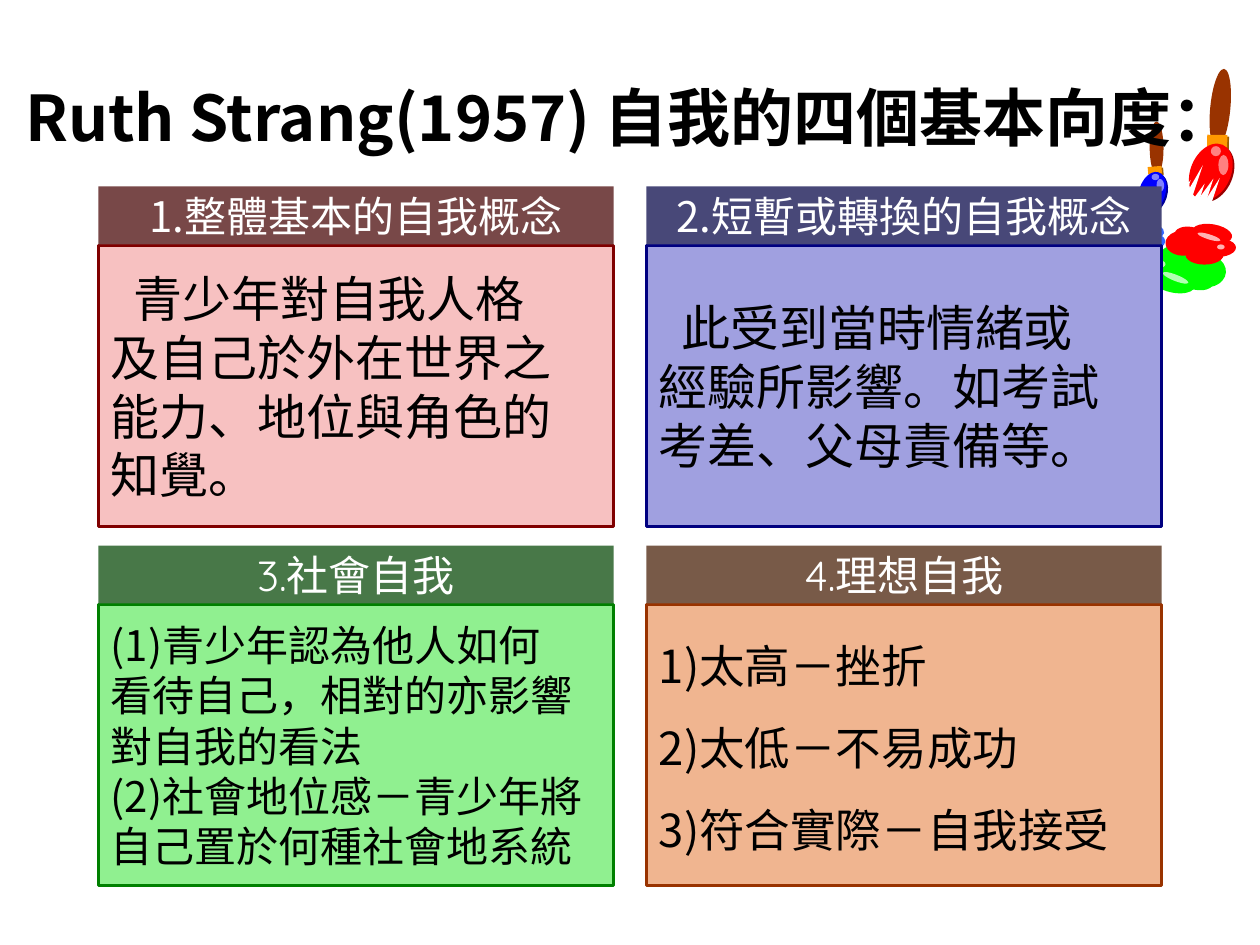
import pptx
import pptx.util
import pptx.dml.color
import pptx.enum.shapes
import pptx.enum.text
import pptx.oxml
import pptx.oxml.ns
import lxml.etree

Inches, Pt = pptx.util.Inches, pptx.util.Pt
KINDS = pptx.enum.shapes.MSO_SHAPE
ALIGN = pptx.enum.text.PP_ALIGN
ANCHOR = pptx.enum.text.MSO_ANCHOR
color = pptx.dml.color.RGBColor.from_string
tag = pptx.oxml.ns.qn
CJK = "Noto Sans CJK SC"


def add_shape(parent, kind, place, fill, turn=0, opacity=100, shadow=None):
    """Add a filled shape without outline; opacity is in percent."""
    shape = parent.shapes.add_shape(kind, *[Inches(length) for length in place])
    shape.rotation = turn
    shape.shadow.inherit = False
    shape.line.fill.background()
    shape.fill.solid()
    shape.fill.fore_color.rgb = color(fill)
    if opacity < 100:
        tint = shape._element.spPr.find(".//" + tag("a:srgbClr"))
        lxml.etree.SubElement(tint, tag("a:alpha"), val=str(opacity * 1000))
    if shadow:
        effects = shape._element.spPr.find(tag("a:effectLst"))
        outer = lxml.etree.SubElement(effects, tag("a:outerShdw"), dist=str(Pt(1.4)), dir="2700000")
        lxml.etree.SubElement(outer, tag("a:srgbClr"), val=shadow)
    return shape


def write(box, lines, size, font=CJK, ink="000000", bold=False, align=ALIGN.LEFT,
          anchor=ANCHOR.MIDDLE, spacing=None):
    frame = box.text_frame
    frame.text = "\n".join(lines)
    frame.vertical_anchor = anchor
    for para in frame.paragraphs:
        para.alignment = align
        if spacing:
            para.line_spacing = spacing
        for span in para.runs:
            span.font.size = Pt(size)
            span.font.name = font
            span.font.bold = bold
            span.font.color.rgb = color(ink)
            lxml.etree.SubElement(span._r.get_or_add_rPr(), tag("a:ea"), typeface=CJK)


deck = pptx.Presentation()
deck.slide_width, deck.slide_height = Inches(10), Inches(7.5)
page = deck.slides.add_slide(deck.slide_layouts[6])

# Brushes: handle, ferrule, bristles, gaps between bristles, highlights
brushes = [
    dict(handle=((9.37, 0.78, 0.63, 0.16), 275.5), ferrule=((9.58, 1.07, 0.16, 0.1), 180.8),
         bristles=((9.45, 1.13, 0.32, 0.47), 23.4), paint="FF0000", shade="990000",
         gaps=[((9.34, 1.41, 0.08, 0.24), 19.5, 0.91), ((9.59, 1.41, 0.08, 0.31), 32.9, 0),
               ((9.41, 1.29, 0.08, 0.39), 19.5, 0.91), ((9.52, 1.4, 0.08, 0.24), 19.5, 0.91),
               ((9.45, 1.44, 0.08, 0.24), 19.5, 0.91)],
         lights=[((9.67, 1.23, 0.08, 0.16), 1.3), ((9.61, 1.16, 0.08, 0.08), 1.3)]),
    dict(handle=((8.97, 1.12, 0.42, 0.11), 269.7), ferrule=((9.11, 1.32, 0.11, 0.06), 175),
         bristles=((9.04, 1.36, 0.21, 0.33), 17.6), paint="0000FF", shade="000099",
         gaps=[((9.15, 1.55, 0.05, 0.22), 27.1, 0), ((9.02, 1.48, 0.05, 0.28), 13.7, 0.91)],
         lights=[((9.18, 1.42, 0.06, 0.1), 355.5), ((9.14, 1.38, 0.06, 0.05), 355.5)]),
]
for brush in brushes:
    group = page.shapes.add_group_shape()
    place, turn = brush["handle"]
    add_shape(group, KINDS.OVAL, place, "993300", turn)
    place, turn = brush["ferrule"]
    add_shape(group, KINDS.RECTANGLE, place, "FF9900", turn, shadow="995C00")
    place, turn = brush["bristles"]
    add_shape(group, KINDS.OVAL, place, brush["paint"], turn, shadow=brush["shade"])
    for place, turn, tip in brush["gaps"]:
        gap = add_shape(group, KINDS.ISOSCELES_TRIANGLE, place, "FFFFFF", turn)
        gap.adjustments[0] = tip
    for place, turn in brush["lights"]:
        add_shape(group, KINDS.OVAL, place, "FFFFFF", turn, opacity=50)

# Paint blots: colour, drops, highlights
blots = [
    ("00FF00",
     [((9.41, 2.02, 0.32, 0.26), 184), ((9.21, 1.94, 0.34, 0.18), 184),
      ((9.1, 2.01, 0.34, 0.18), 184), ((9.12, 2.14, 0.37, 0.18), 193.7),
      ((9.35, 2.12, 0.29, 0.18), 193.7)],
     [((9.19, 2.07, 0.06, 0.05), 184), ((9.22, 2.18, 0.22, 0.05), 201.5)]),
    ("3366FF",
     [((8.94, 1.82, 0.16, 0.15), 0), ((9.03, 1.91, 0.17, 0.11), 0),
      ((9.08, 1.86, 0.17, 0.11), 0), ((9.06, 1.78, 0.18, 0.11), 9.6),
      ((8.98, 1.8, 0.14, 0.11), 9.6)],
     [((9.17, 1.9, 0.03, 0.03), 0)]),
    ("FF0000",
     [((9.25, 1.83, 0.28, 0.2), 0), ((9.41, 1.95, 0.3, 0.15), 0),
      ((9.51, 1.89, 0.3, 0.15), 0), ((9.46, 1.78, 0.32, 0.15), 9.6),
      ((9.32, 1.8, 0.25, 0.15), 9.6)],
     [((9.66, 1.94, 0.06, 0.04), 0), ((9.5, 1.86, 0.19, 0.04), 17.5)]),
]
for paint, drops, lights in blots:
    group = page.shapes.add_group_shape()
    for place, turn in drops:
        add_shape(group, KINDS.OVAL, place, paint, turn)
    for place, turn in lights:
        add_shape(group, KINDS.OVAL, place, "FFFFFF", turn, opacity=70)

title = page.shapes.add_textbox(0, Inches(0.3), deck.slide_width, Inches(1.25))
title.text_frame.word_wrap = False
write(title, ["Ruth Strang(1957) 自我的四個基本向度："], 36, bold=True, align=ALIGN.CENTER)

# Four cards in a grid of two columns and two rows
LEFT, TOP, COLUMN_STEP, ROW_STEP = 0.78, 1.48, 4.35, 2.85
WIDTH, HEAD, BODY_OFFSET, BODY = 4.09, 0.46, 0.47, 2.23
cards = [
    dict(head="1.整體基本的自我概念", font=CJK, dark="784848", light="F7C1C1", edge="800000",
         size=28, indent=0.18,
         lines=["青少年對自我人格", "及自己於外在世界之", "能力、地位與角色的", "知覺。"]),
    dict(head="2.短暫或轉換的自我概念", font=CJK, dark="484878", light="A0A0E0", edge="000080",
         size=28, indent=0.18,
         lines=["此受到當時情緒或", "經驗所影響。如考試", "考差、父母責備等。"]),
    dict(head="3.社會自我", font="Quicksand", dark="487848", light="90F090", edge="008000",
         size=24, indent=0,
         lines=["(1)青少年認為他人如何", "看待自己，相對的亦影響", "對自我的看法",
                "(2)社會地位感－青少年將", "自己置於何種社會地系統"]),
    dict(head="4.理想自我", font="Quicksand", dark="785A48", light="F0B590", edge="993300",
         size=26, indent=0, anchor=ANCHOR.TOP, spacing=1.5,
         lines=["1)太高－挫折", "2)太低－不易成功", "3)符合實際－自我接受"]),
]
for index, card in enumerate(cards):
    row, column = divmod(index, 2)
    left, top = LEFT + column * COLUMN_STEP, TOP + row * ROW_STEP
    body = add_shape(page, KINDS.RECTANGLE, (left, top + BODY_OFFSET, WIDTH, BODY), card["light"])
    body.line.color.rgb = color(card["edge"])
    body.line.width = Pt(1.5)
    write(body, card["lines"], card["size"], anchor=card.get("anchor", ANCHOR.MIDDLE),
          spacing=card.get("spacing"))
    if card["indent"]:
        first = body.text_frame.paragraphs[0]
        first._p.get_or_add_pPr().set("indent", str(Inches(card["indent"])))
    head = add_shape(page, KINDS.RECTANGLE, (left, top, WIDTH, HEAD), card["dark"])
    write(head, [card["head"]], 24, card["font"], "FFFFFF", align=ALIGN.CENTER)

deck.save("out.pptx")
